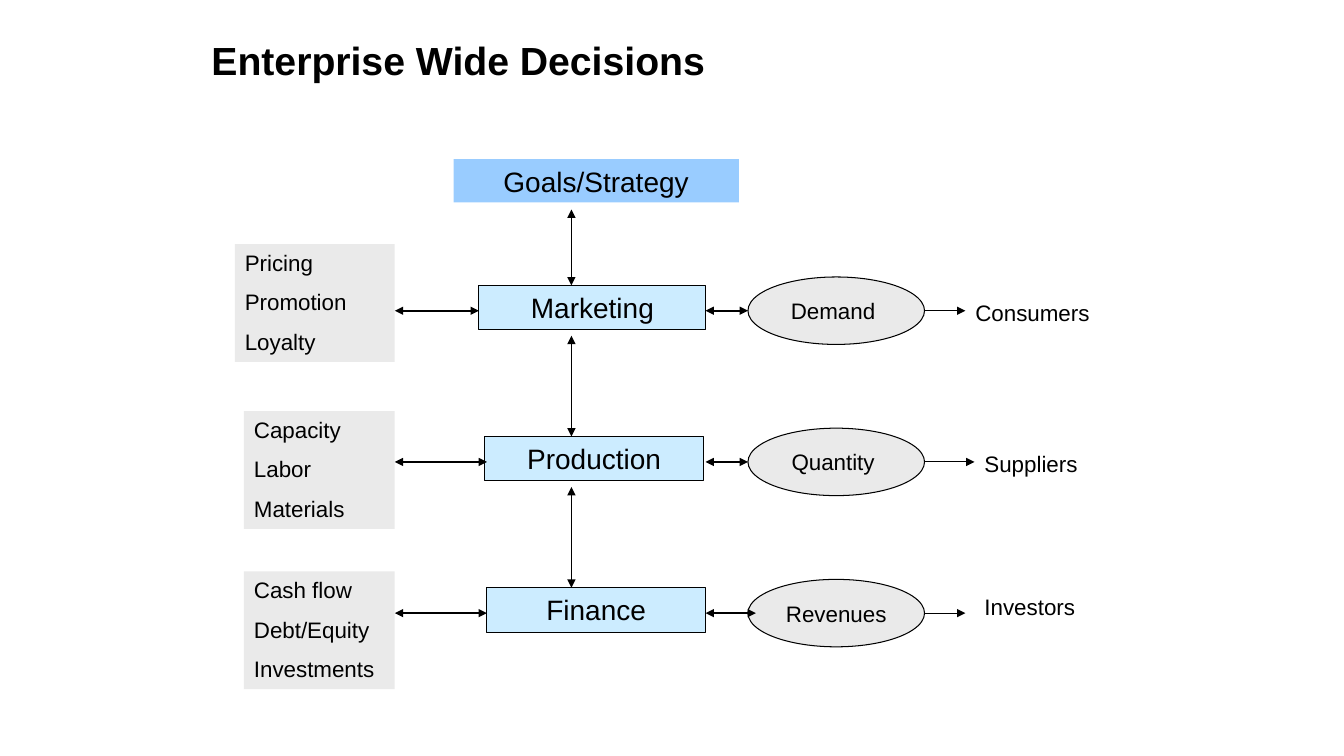
from lxml import etree
from pptx import Presentation
from pptx.dml.color import RGBColor
from pptx.enum.shapes import MSO_CONNECTOR, MSO_SHAPE
from pptx.enum.text import MSO_ANCHOR, PP_ALIGN
from pptx.oxml.ns import qn
from pptx.util import Cm, Pt

RECTANGLE, ELLIPSE = MSO_SHAPE.RECTANGLE, MSO_SHAPE.OVAL
STRAIGHT = MSO_CONNECTOR.STRAIGHT
TOP, MIDDLE = MSO_ANCHOR.TOP, MSO_ANCHOR.MIDDLE
LEFT, CENTER = PP_ALIGN.LEFT, PP_ALIGN.CENTER

# Content; lengths in centimetres
TITLE = "Enterprise Wide Decisions"
GOAL = "Goals/Strategy"
ROWS = [
    {"function": "Marketing", "function_left": 12.07, "function_width": 5.72,
     "factors": ["Pricing", "Promotion", "Loyalty"],
     "factors_left": 5.92, "factors_top": 6.15,
     "result": "Demand ", "result_arrow_end": 18.85,
     "party": "Consumers", "party_left": 24.33, "party_top": 7.42,
     "function_arrow_end": 12.07, "party_arrow_end": 24.33},
    {"function": "Production", "function_left": 12.22, "function_width": 5.51,
     "factors": ["Capacity", "Labor", "Materials"],
     "factors_left": 6.15, "factors_top": 10.36,
     "result": "Quantity ", "result_arrow_end": 18.85,
     "party": "Suppliers", "party_left": 24.56, "party_top": 11.23,
     "function_arrow_end": 12.27, "party_arrow_end": 24.56},
    {"function": "Finance", "function_left": 12.27, "function_width": 5.51,
     "factors": ["Cash flow", "Debt/Equity", "Investments"],
     "factors_left": 6.15, "factors_top": 14.4,
     "result": "Revenues", "result_arrow_end": 19.05,
     "party": "Investors", "party_left": 24.56, "party_top": 14.81,
     "function_arrow_end": 12.27, "party_arrow_end": 24.33},
]

FONT, BLACK = "Arial", "000000"
GOAL_FILL, FUNCTION_FILL, GRAY = "99CCFF", "CCECFF", "EAEAEA"
FIRST_CENTER, ROW_PITCH = 7.83, 3.81
FUNCTION_HEIGHT, FUNCTION_RIGHT = 1.12, 17.78
FACTORS_RIGHT, FACTORS_HEIGHT = 9.95, 2.97
RESULT_LEFT, RESULT_WIDTH, RESULT_HEIGHT = 18.85, 4.45, 1.7
SPINE_X, SPINE_START = 14.4, 5.28


def color(hex_string):
    return RGBColor.from_string(hex_string)


def write(shape, lines, size, alignment=LEFT, anchor=TOP, wrap=True, bold=False):
    frame = shape.text_frame
    frame.word_wrap = wrap
    frame.vertical_anchor = anchor
    frame.text = "\n".join(lines)
    for index, paragraph in enumerate(frame.paragraphs):
        paragraph.alignment = alignment
        if index:
            paragraph.space_before = Pt(9)
        font = paragraph.font
        font.name, font.size, font.bold = FONT, Pt(size), bold
        font.color.rgb = color(BLACK)


def add_label(box, text, size, **options):
    label = slide.shapes.add_textbox(*map(Cm, box))
    write(label, [text], size, **options)
    return label


def add_block(kind, box, fill, lines, size, outlined=False, **options):
    shape = slide.shapes.add_shape(kind, *map(Cm, box))
    shape.shadow.inherit = False
    shape.fill.solid()
    shape.fill.fore_color.rgb = color(fill)
    if outlined:
        shape.line.color.rgb = color(BLACK)
        shape.line.width = Pt(0.75)
    else:
        shape.line.fill.background()
    write(shape, lines, size, **options)


def add_arrow(start, end, width=0.75, both_ends=True):
    arrow = slide.shapes.add_connector(STRAIGHT, *map(Cm, start + end))
    arrow.line.color.rgb = color(BLACK)
    arrow.line.width = Pt(width)
    line = arrow.line._get_or_add_ln()
    for tag in ("a:headEnd", "a:tailEnd") if both_ends else ("a:tailEnd",):
        etree.SubElement(line, qn(tag), type="triangle")
    etree.SubElement(arrow._element.spPr, qn("a:effectLst"))


presentation = Presentation()
presentation.slide_width, presentation.slide_height = Cm(33.87), Cm(19.05)
slide = presentation.slides.add_slide(presentation.slide_layouts[6])

# Title and goal
title = add_label((5.08, 0, 21.59, 3.18), TITLE, 28, anchor=MIDDLE, bold=True)
title.text_frame.paragraphs[0].line_spacing = 0.9
add_block(RECTANGLE, (11.43, 4.01, 7.19, 1.09), GOAL_FILL, [GOAL], 20,
          alignment=CENTER)

# One row per business function
spine_start = SPINE_START
for index, row in enumerate(ROWS):
    center = FIRST_CENTER + index * ROW_PITCH
    function_top = center - 0.64

    add_block(RECTANGLE, (row["factors_left"], row["factors_top"],
                          FACTORS_RIGHT - row["factors_left"], FACTORS_HEIGHT),
              GRAY, row["factors"], 16)
    add_block(RECTANGLE, (row["function_left"], function_top,
                          row["function_width"], FUNCTION_HEIGHT),
              FUNCTION_FILL, [row["function"]], 20, outlined=True,
              alignment=CENTER)
    add_block(ELLIPSE, (RESULT_LEFT, center - RESULT_HEIGHT / 2,
                        RESULT_WIDTH, RESULT_HEIGHT),
              GRAY, [row["result"]], 16, outlined=True,
              alignment=CENTER, anchor=MIDDLE, wrap=False)
    add_label((row["party_left"], row["party_top"], 4.45, 0.94),
              row["party"], 16)

    # Arrows along the row, then down the spine
    add_arrow((FACTORS_RIGHT, center), (row["function_arrow_end"], center), 1.5)
    add_arrow((FUNCTION_RIGHT, center), (row["result_arrow_end"], center), 1.5)
    add_arrow((RESULT_LEFT + RESULT_WIDTH, center),
              (row["party_arrow_end"], center), both_ends=False)
    add_arrow((SPINE_X, spine_start), (SPINE_X, function_top))
    spine_start = function_top + 1.27

presentation.save("out.pptx")
